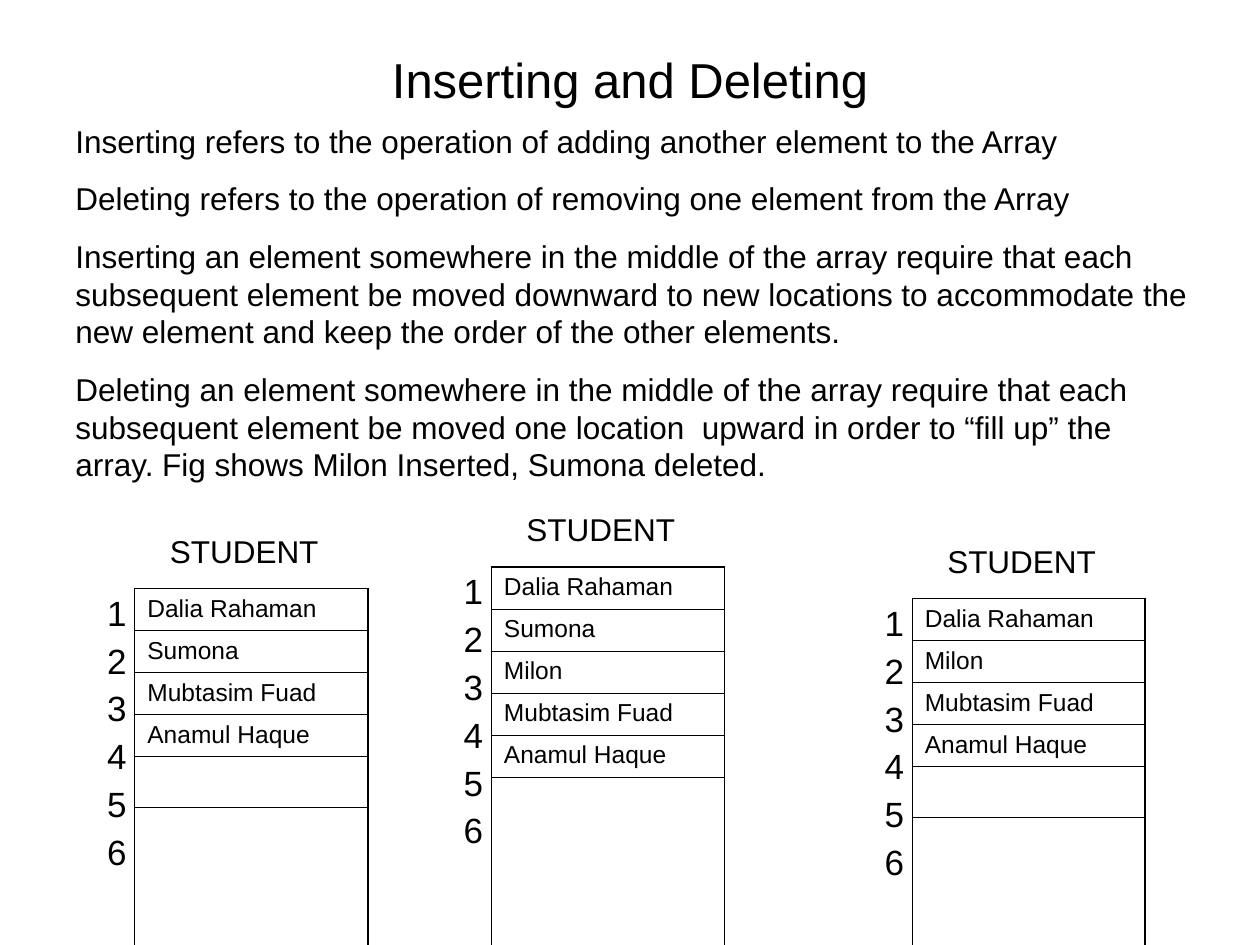
from dataclasses import dataclass

from lxml import etree
from pptx import Presentation
from pptx.dml.color import RGBColor
from pptx.enum.text import MSO_ANCHOR, PP_ALIGN
from pptx.oxml.ns import qn
from pptx.util import Inches, Pt

LEFT = PP_ALIGN.LEFT
CENTER = PP_ALIGN.CENTER
TOP = MSO_ANCHOR.TOP
MIDDLE = MSO_ANCHOR.MIDDLE


@dataclass(frozen=True)
class Theme:
    font: str = "Arial"
    ink: str = "000000"
    title: float = 28
    body: float = 18
    number: float = 20
    name: float = 14
    thin: float = 0.45
    thick: float = 1.08


THEME = Theme()
BLANK_LAYOUT = 6
ROW_COUNT = 6
ROW_HEIGHT = 0.33
LAST_ROW_HEIGHT = 2.45
COLUMN_WIDTHS = (0.32, 1.85)
BORDER_TAGS = ("a:lnL", "a:lnR", "a:lnT", "a:lnB")

DEFINITIONS = [
    "Inserting refers to the operation of adding another element to the Array",
    "Deleting refers to the operation of removing one element from the Array",
    "Inserting an element somewhere in the middle of the array require that each "
    "subsequent element be moved downward to new locations to accommodate the "
    "new element and keep the order of the other elements.",
    "Deleting an element somewhere in the middle of the array require that each "
    "subsequent element be moved one location  upward in order to “fill up” the "
    "array. Fig shows Milon Inserted, Sumona deleted.",
]
STUDENT_ARRAYS = [
    (0.75, 4.67, ["Dalia Rahaman", "Sumona", "Mubtasim Fuad", "Anamul Haque"]),
    (3.58, 4.5, ["Dalia Rahaman", "Sumona", "Milon", "Mubtasim Fuad", "Anamul Haque"]),
    (6.92, 4.75, ["Dalia Rahaman", "Milon", "Mubtasim Fuad", "Anamul Haque"]),
]


def write_text(frame, paragraphs, size, align=LEFT, space_before=0):
    for index, text in enumerate(paragraphs):
        paragraph = frame.add_paragraph() if index else frame.paragraphs[0]
        paragraph.alignment = align
        paragraph.space_before = Pt(space_before if index else 0)
        run = paragraph.add_run()
        run.text = text
        run.font.name = THEME.font
        run.font.size = Pt(size)
        run.font.color.rgb = RGBColor.from_string(THEME.ink)


def add_text(slide, paragraphs, left, top, width, height, anchor=TOP, **text_format):
    box = slide.shapes.add_textbox(
        Inches(left), Inches(top), Inches(width), Inches(height)
    )
    frame = box.text_frame
    frame.word_wrap = True
    frame.vertical_anchor = anchor
    write_text(frame, paragraphs, **text_format)


def set_borders(cell, widths):
    properties = cell._tc.get_or_add_tcPr()
    for index, (tag, width) in enumerate(zip(BORDER_TAGS, widths)):
        line = etree.Element(qn(tag), w=str(int(Pt(width))))
        if width:
            fill = etree.SubElement(line, qn("a:solidFill"))
            etree.SubElement(fill, qn("a:srgbClr"), val=THEME.ink)
        else:
            etree.SubElement(line, qn("a:noFill"))
        properties.insert(index, line)


def add_array_table(slide, left, top, names):
    frame = slide.shapes.add_table(
        ROW_COUNT, len(COLUMN_WIDTHS), Inches(left), Inches(top),
        Inches(sum(COLUMN_WIDTHS)),
        Inches(ROW_HEIGHT * (ROW_COUNT - 1) + LAST_ROW_HEIGHT),
    )
    table = frame.table
    table.first_row = False
    table.horz_banding = False
    for column, width in zip(table.columns, COLUMN_WIDTHS):
        column.width = Inches(width)

    last = ROW_COUNT - 1
    for index, row in enumerate(table.rows):
        row.height = Inches(LAST_ROW_HEIGHT if index == last else ROW_HEIGHT)
        number_cell, name_cell = row.cells
        for cell in (number_cell, name_cell):
            cell.fill.background()
        set_borders(number_cell, (0, THEME.thin, 0, 0))
        upper = THEME.thick if index == 0 else THEME.thin
        lower = THEME.thick if index == last else THEME.thin
        set_borders(name_cell, (THEME.thin, THEME.thick, upper, lower))

    number_cell = table.cell(0, 0)
    number_cell.merge(table.cell(last, 0))
    numbers = [str(number) for number in range(1, ROW_COUNT + 1)]
    write_text(number_cell.text_frame, numbers, THEME.number, space_before=5)
    for index, name in enumerate(names):
        write_text(table.cell(index, 1).text_frame, [name], THEME.name)


def add_student_array(slide, left, top, names):
    add_array_table(slide, left, top, names)
    add_text(slide, ["STUDENT"], left + 0.5, top - 0.5, 1.83, 0.4, size=THEME.body)


def main():
    presentation = Presentation()
    presentation.slide_width = Inches(10)
    presentation.slide_height = Inches(7.5)
    slide = presentation.slides.add_slide(presentation.slide_layouts[BLANK_LAYOUT])
    add_text(slide, ["Inserting and Deleting"], 0.5, 0, 9, 1.25,
             anchor=MIDDLE, size=THEME.title, align=CENTER)
    add_text(slide, DEFINITIONS, 0.5, 0.92, 9.08, 3.43,
             size=THEME.body, space_before=11.2)
    for left, top, names in STUDENT_ARRAYS:
        add_student_array(slide, left, top, names)
    presentation.save("out.pptx")


if __name__ == "__main__":
    main()
